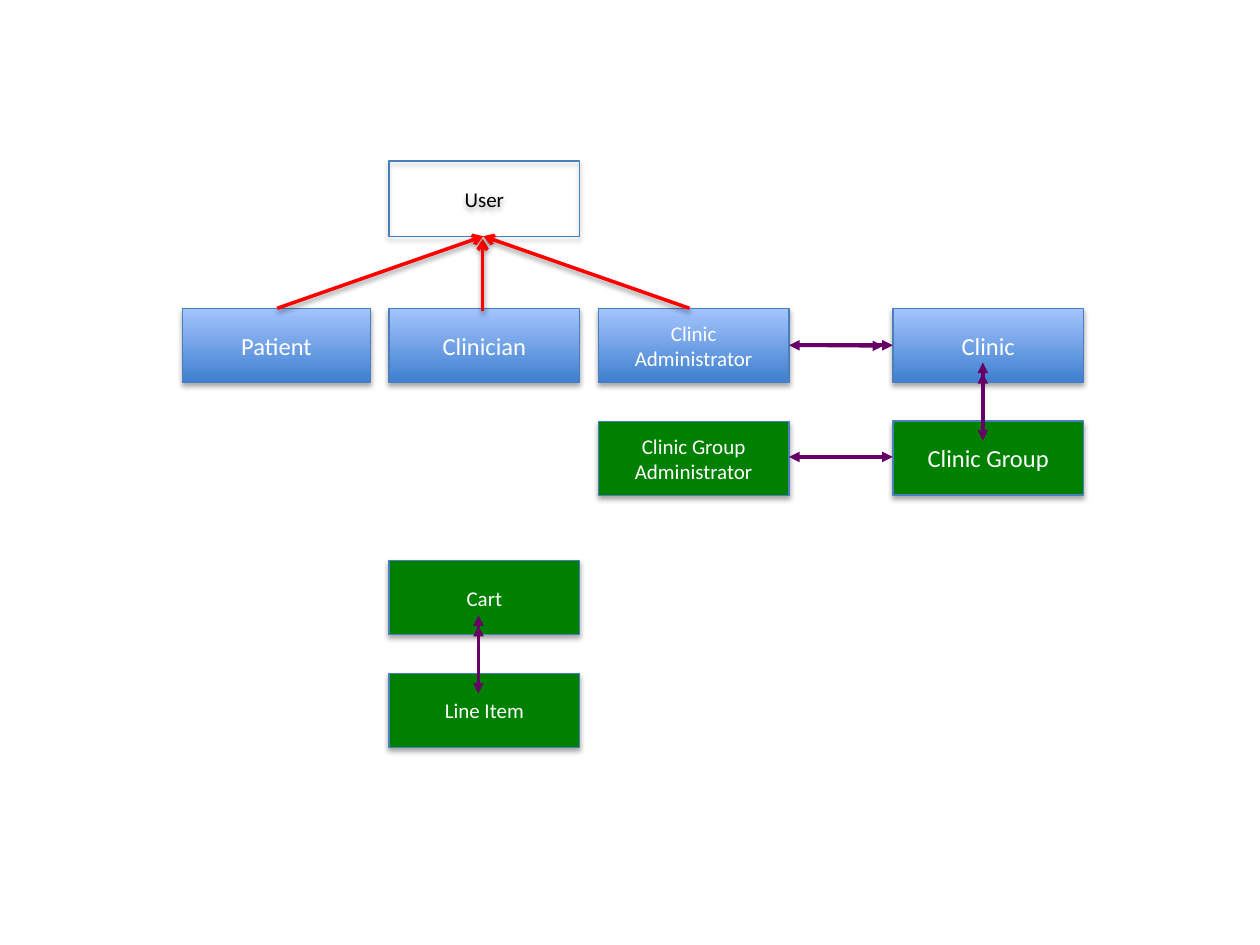
from dataclasses import dataclass
from typing import Optional

from lxml.etree import SubElement
from pptx import Presentation
from pptx.dml.color import RGBColor
from pptx.enum.shapes import MSO_CONNECTOR as Connector, MSO_SHAPE as Shape
from pptx.enum.text import MSO_ANCHOR as Anchor, PP_ALIGN as Align
from pptx.oxml.ns import qn
from pptx.util import Pt

WHITE = RGBColor(0xFF, 0xFF, 0xFF)
BLACK = RGBColor(0x00, 0x00, 0x00)
BLUE_DARK = RGBColor(0x3F, 0x80, 0xCE)
BLUE_LIGHT = RGBColor(0xA4, 0xC4, 0xFF)
OUTLINE = RGBColor(0x4B, 0x7E, 0xBC)
GREEN = RGBColor(0x00, 0x80, 0x00)
RED = RGBColor(0xFF, 0x00, 0x00)
PURPLE = RGBColor(0x66, 0x00, 0x66)

# Columns and rows of the diagram, in points
PATIENT_X, USER_X, ADMIN_X, CLINIC_X = 104.4, 222.3, 341.9, 510.2
USER_Y, ROLE_Y, GROUP_Y, CART_Y, ITEM_Y = 92, 176.2, 240.6, 320.4, 384.8
WIDTH, HEIGHT = 109, 42.2


@dataclass(frozen=True)
class Entity:
    """A box of the class diagram."""
    name: str
    left: float
    top: float
    fills: tuple[RGBColor, ...]
    size: float = 12
    width: float = WIDTH
    height: float = HEIGHT
    ink: RGBColor = WHITE


@dataclass(frozen=True)
class Link:
    """A line between two points, with optional arrowheads."""
    start: tuple[float, float]
    end: tuple[float, float]
    color: RGBColor = PURPLE
    head: Optional[str] = None
    tail: str = "triangle"
    shadow_alpha: int = 0


BLUE = (BLUE_DARK, BLUE_LIGHT)
ENTITIES = [
    Entity("User", USER_X, USER_Y, (), height=43, ink=BLACK),
    Entity("Patient", PATIENT_X, ROLE_Y, BLUE, 14, width=107.2),
    Entity("Clinician", USER_X, ROLE_Y, BLUE, 14),
    Entity("Clinic Administrator", ADMIN_X, ROLE_Y, BLUE),
    Entity("Clinic", CLINIC_X, ROLE_Y, BLUE, 14),
    Entity("Clinic Group Administrator", ADMIN_X, GROUP_Y + 0.4, (GREEN,)),
    Entity("Clinic Group", CLINIC_X, GROUP_Y, (GREEN,), 14),
    Entity("Cart", USER_X, CART_Y, (GREEN,)),
    Entity("Line Item", USER_X, ITEM_Y, (GREEN,)),
]

ADMIN_RIGHT = ADMIN_X + WIDTH
INHERITANCE = [
    Link(start, end, RED, tail="arrow", shadow_alpha=38)
    for start, end in (
        ((158.4, ROLE_Y), (276.2, 135)),
        ((275.8, 177.7), (275.8, 136.6)),
        ((394, ROLE_Y), (276.2, 135)),
    )
]
ASSOCIATIONS = [
    Link((ADMIN_RIGHT, 197.3), (CLINIC_X, 197.3), head="triangle"),
    Link((ADMIN_RIGHT, 261.1), (CLINIC_X, 261.1), head="triangle"),
    Link((456.5, 197.3), (504.7, 197.7)),
]
# Centre line and upper tip of each vertical association
VERTICALS = [(561.6, 207.2), (273.4, 351.6)]


def add_shadow(shape, alpha: int) -> None:
    """Give the shape a soft shadow below it, or none when alpha is zero."""
    effects = SubElement(shape.element.spPr, qn("a:effectLst"))
    if alpha:
        shadow = SubElement(effects, qn("a:outerShdw"), blurRad=str(Pt(3.1)),
                            dist=str(Pt(1.8)), dir="5400000", rotWithShape="0")
        color = SubElement(shadow, qn("a:srgbClr"), val=str(BLACK))
        SubElement(color, qn("a:alpha"), val=str(alpha * 1000))


def add_entity(shapes, entity: Entity) -> None:
    """Draw one labelled box."""
    box = shapes.add_shape(Shape.RECTANGLE, Pt(entity.left), Pt(entity.top),
                           Pt(entity.width), Pt(entity.height))
    if len(entity.fills) > 1:
        box.fill.gradient()
        box.fill.gradient_angle = 90
        for stop, color in zip(box.fill.gradient_stops, entity.fills):
            stop.color.rgb = color
    elif entity.fills:
        box.fill.solid()
        box.fill.fore_color.rgb = entity.fills[0]
    else:
        box.fill.background()
    box.line.color.rgb = OUTLINE
    box.line.width = Pt(0.75)
    add_shadow(box, 35)
    box.text_frame.vertical_anchor = Anchor.MIDDLE
    label = box.text_frame.paragraphs[0]
    label.text = entity.name
    label.alignment = Align.CENTER
    label.font.name = "Calibri"
    label.font.size = Pt(entity.size)
    label.font.color.rgb = entity.ink


def add_link(shapes, link: Link) -> None:
    """Draw one line with its arrowheads."""
    line = shapes.add_connector(Connector.STRAIGHT,
                                *map(Pt, link.start + link.end))
    line.line.color.rgb = link.color
    line.line.width = Pt(2)
    stroke = line.element.spPr.find(qn("a:ln"))
    for tag, kind in (("a:headEnd", link.head), ("a:tailEnd", link.tail)):
        if kind:
            SubElement(stroke, qn(tag), type=kind)
    add_shadow(line, link.shadow_alpha)


def add_vertical(shapes, x: float, top: float) -> None:
    """Draw a grouped vertical association with a doubled upper arrowhead."""
    group = shapes.add_group_shape()
    add_link(group.shapes, Link((x, top), (x, top + 44.6), head="triangle"))
    add_link(group.shapes, Link((x, top + 34), (x, top + 6)))


def main() -> None:
    """Build and save the slide."""
    deck = Presentation()
    deck.slide_width, deck.slide_height = Pt(720), Pt(540)
    shapes = deck.slides.add_slide(deck.slide_layouts[6]).shapes
    for entity in ENTITIES:
        add_entity(shapes, entity)
    for link in ASSOCIATIONS[:2] + INHERITANCE + ASSOCIATIONS[2:]:
        add_link(shapes, link)
    for x, top in VERTICALS:
        add_vertical(shapes, x, top)
    deck.save("out.pptx")


main()
